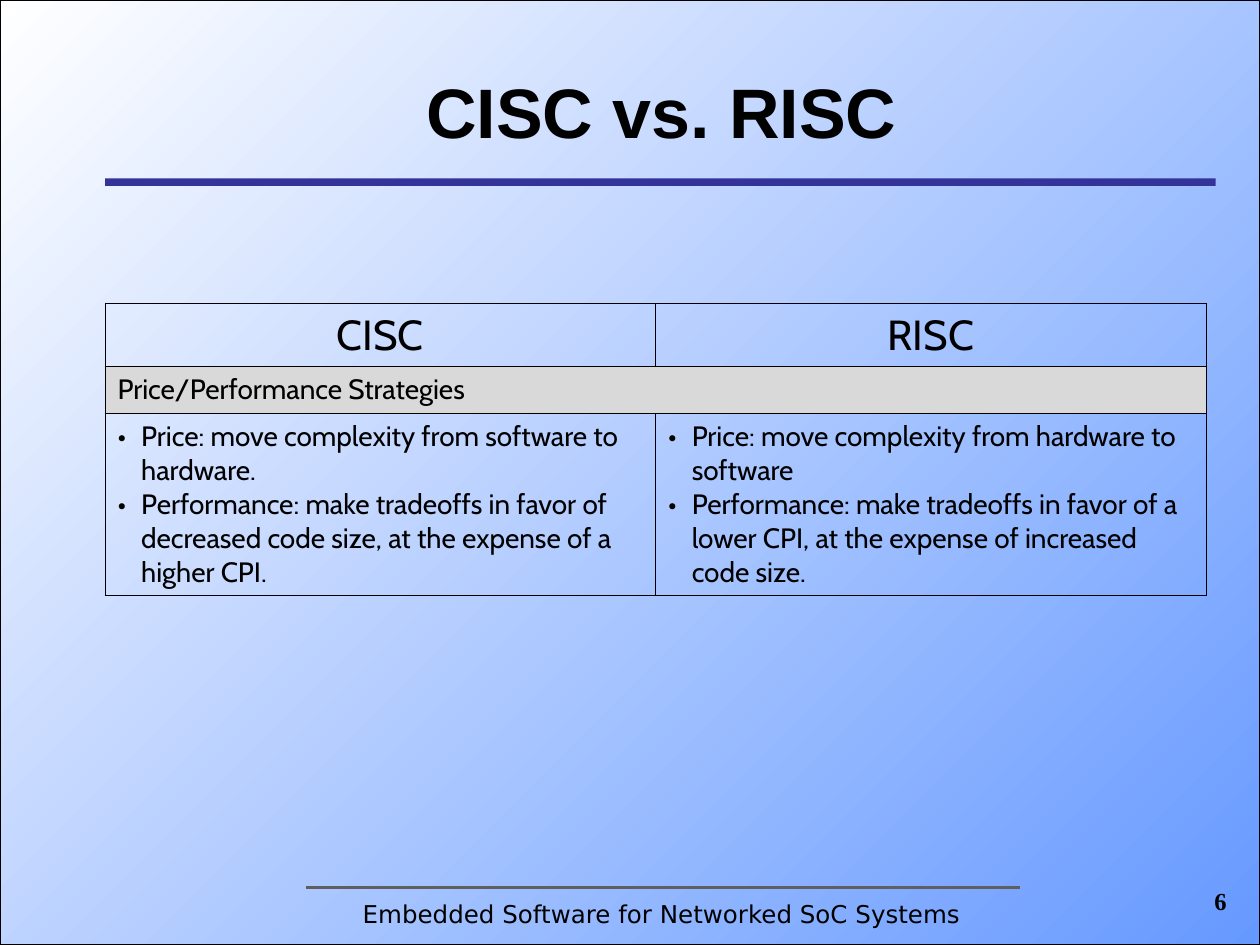
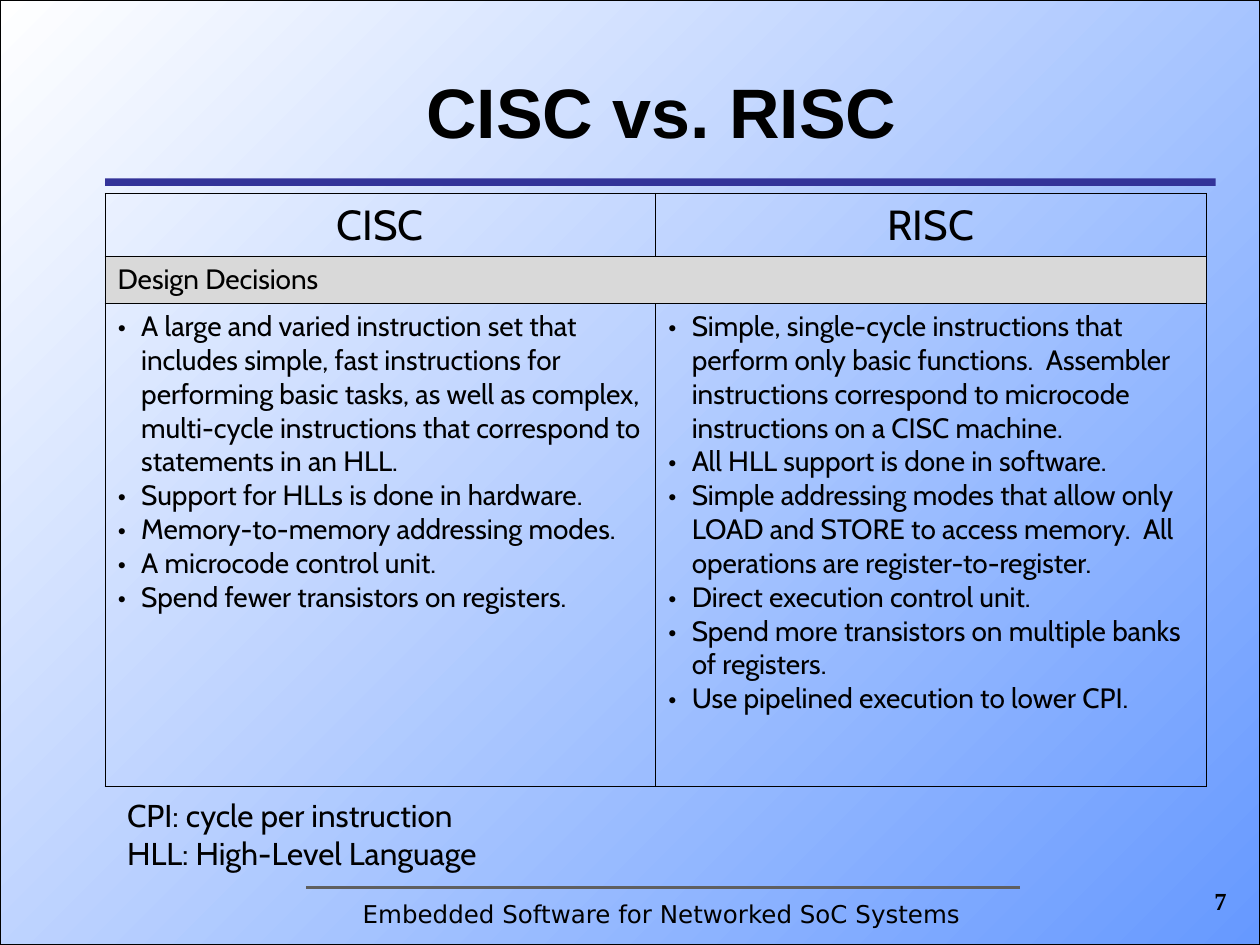
from lxml import etree
from pptx import Presentation
from pptx.dml.color import RGBColor
from pptx.enum.shapes import MSO_CONNECTOR, MSO_SHAPE
from pptx.enum.text import MSO_ANCHOR, PP_ALIGN
from pptx.oxml.ns import qn
from pptx.util import Pt

RECTANGLE = MSO_SHAPE.RECTANGLE
STRAIGHT = MSO_CONNECTOR.STRAIGHT
LEFT, CENTER, RIGHT = PP_ALIGN.LEFT, PP_ALIGN.CENTER, PP_ALIGN.RIGHT
TOP, MIDDLE = MSO_ANCHOR.TOP, MSO_ANCHOR.MIDDLE

COLORS = {
    "text": "000000",
    "sky": "6699FF",
    "white": "FFFFFF",
    "title_rule": "333399",
    "footer_rule": "5F5F5F",
    "section": "D9D9D9",
}
PAGE_WIDTH, PAGE_HEIGHT = 720, 540
MARGIN = 60
BODY_FONT = "Cabin"
FOOTER = "Embedded Software for Networked SoC Systems"
TITLE = "CISC vs. RISC"
TABLE_WIDTH = 629.2
HEADER_HEIGHT, SECTION_HEIGHT = 36.2, 26.8
BULLET_INDENT = 13.5
BORDER_WIDTH = 0.45

COMPARISONS = [
    {
        "number": 6,
        "section": "Price/Performance Strategies",
        "top": 173.4,
        "body_height": 104,
        "CISC": [
            "Price: move complexity from software to hardware.",
            "Performance: make tradeoffs in favor of decreased code size, "
            "at the expense of a higher CPI.",
        ],
        "RISC": [
            "Price: move complexity from hardware to software",
            "Performance: make tradeoffs in favor of a lower CPI, "
            "at the expense of increased code size.",
        ],
        "glossary": [],
    },
    {
        "number": 7,
        "section": "Design Decisions",
        "top": 110.4,
        "body_height": 276,
        "CISC": [
            "A large and varied instruction set that includes simple, fast "
            "instructions for performing basic tasks, as well as complex, "
            "multi-cycle instructions that correspond to statements in an HLL.",
            "Support for HLLs is done in hardware.",
            "Memory-to-memory addressing modes.",
            "A microcode control unit.",
            "Spend fewer transistors on registers.",
        ],
        "RISC": [
            "Simple, single-cycle instructions that perform only basic functions.  "
            "Assembler instructions correspond to microcode instructions "
            "on a CISC machine.",
            "All HLL support is done in software.",
            "Simple addressing modes that allow only LOAD and STORE to access "
            "memory.  All operations are register-to-register.",
            "Direct execution control unit.",
            "Spend more transistors on multiple banks of registers.",
            "Use pipelined execution to lower CPI.",
        ],
        "glossary": ["CPI: cycle per instruction", "HLL: High-Level Language"],
    },
]


def color(name):
    return RGBColor.from_string(COLORS[name])


def write(frame, lines, size, font, align=LEFT, bold=False):
    frame.text = "\n".join(lines)
    for para in frame.paragraphs:
        para.alignment = align
        for span in para.runs:
            span.font.size = Pt(size)
            span.font.name = font
            span.font.bold = bold
            span.font.color.rgb = color("text")


def add_text(page, box, lines, size, font, align=LEFT, bold=False,
             anchor=TOP, wrap=True):
    frame = page.shapes.add_textbox(*map(Pt, box)).text_frame
    frame.word_wrap = wrap
    frame.vertical_anchor = anchor
    write(frame, lines, size, font, align, bold)


def add_rectangle(page, box):
    shape = page.shapes.add_shape(RECTANGLE, *map(Pt, box))
    shape.shadow.inherit = False
    return shape


def add_backdrop(page, box):
    backdrop = add_rectangle(page, box)
    backdrop.fill.gradient()
    backdrop.fill.gradient_angle = 135
    for stop, name in zip(backdrop.fill.gradient_stops, ("sky", "white")):
        stop.color.rgb = color(name)
    backdrop.line.color.rgb = color("text")
    backdrop.line.width = Pt(0.75)


def add_title(page, box):
    """Title text with a thick rule along the bottom of the box."""
    left, top, width, height = box
    rule = add_rectangle(page, (left, top + height, width - 1.4, 4.3))
    rule.fill.solid()
    rule.fill.fore_color.rgb = color("title_rule")
    rule.line.fill.background()
    add_text(page, box, [TITLE], 40, "Arial", CENTER, bold=True, anchor=MIDDLE)


def add_footer(page, box, number):
    """Thin rule, course name and page number."""
    left, top, width, height = box
    rule_y = top - 3
    rule = page.shapes.add_connector(
        STRAIGHT, Pt(left + 115), Pt(rule_y), Pt(left + 523), Pt(rule_y))
    rule.line.color.rgb = color("footer_rule")
    rule.line.width = Pt(1.5)
    etree.SubElement(rule._element.spPr, qn("a:effectLst"))
    add_text(page, box, [FOOTER], 14, "DejaVu Sans", CENTER)
    add_text(page, (left + 570, top - 7.2, 78, 36), [str(number)], 14,
             "Times New Roman", RIGHT, bold=True)


def add_bullet(para):
    properties = para._p.get_or_add_pPr()
    properties.set("marL", str(Pt(BULLET_INDENT)))
    properties.set("indent", str(-Pt(BULLET_INDENT)))
    bullet_color = etree.SubElement(properties, qn("a:buClr"))
    etree.SubElement(bullet_color, qn("a:srgbClr"), val=COLORS["text"])
    etree.SubElement(properties, qn("a:buFont"), typeface=BODY_FONT)
    etree.SubElement(properties, qn("a:buChar"), char="•")


def style_cell(cell, fill=None):
    properties = cell._tc.get_or_add_tcPr()
    for side in ("lnL", "lnR", "lnT", "lnB"):
        border = etree.SubElement(properties, qn("a:" + side),
                                  w=str(Pt(BORDER_WIDTH)))
        solid = etree.SubElement(border, qn("a:solidFill"))
        etree.SubElement(solid, qn("a:srgbClr"), val=COLORS["text"])
    if fill:
        cell.fill.solid()
        cell.fill.fore_color.rgb = color(fill)
    else:
        cell.fill.background()


def add_comparison_table(page, box, comparison):
    left, top, width, height = box
    table = page.shapes.add_table(3, 2, *map(Pt, box)).table
    table.first_row = table.horz_banding = False
    body_height = height - HEADER_HEIGHT - SECTION_HEIGHT
    for row, row_height in zip(table.rows,
                               (HEADER_HEIGHT, SECTION_HEIGHT, body_height)):
        row.height = Pt(row_height)
    for index, name in enumerate(("CISC", "RISC")):
        table.columns[index].width = Pt(width / 2)
        header, section, body = (table.cell(row, index) for row in range(3))
        style_cell(header)
        style_cell(section, "section")
        style_cell(body)
        write(header.text_frame, [name], 24, BODY_FONT, CENTER)
        write(body.text_frame, comparison[name], 16, BODY_FONT)
        for para in body.text_frame.paragraphs:
            add_bullet(para)
    section = table.cell(1, 0)
    section.merge(table.cell(1, 1))
    write(section.text_frame, [comparison["section"]], 16, BODY_FONT)


def add_comparison_page(deck, comparison):
    page = deck.slides.add_slide(deck.slide_layouts[6])
    add_backdrop(page, (0, 0, PAGE_WIDTH, PAGE_HEIGHT))
    add_title(page, (MARGIN, 24, 636, 78))
    top = comparison["top"]
    height = HEADER_HEIGHT + SECTION_HEIGHT + comparison["body_height"]
    add_comparison_table(page, (MARGIN, top, TABLE_WIDTH, height), comparison)
    if comparison["glossary"]:
        add_text(page, (MARGIN + 5.5, top + height + 2, 234, 50.4),
                 comparison["glossary"], 18, BODY_FONT, wrap=False)
    add_footer(page, (MARGIN, 510, 636, 25), comparison["number"])


def main():
    deck = Presentation()
    deck.slide_width, deck.slide_height = Pt(PAGE_WIDTH), Pt(PAGE_HEIGHT)
    for comparison in COMPARISONS:
        add_comparison_page(deck, comparison)
    deck.save("out.pptx")


if __name__ == "__main__":
    main()
